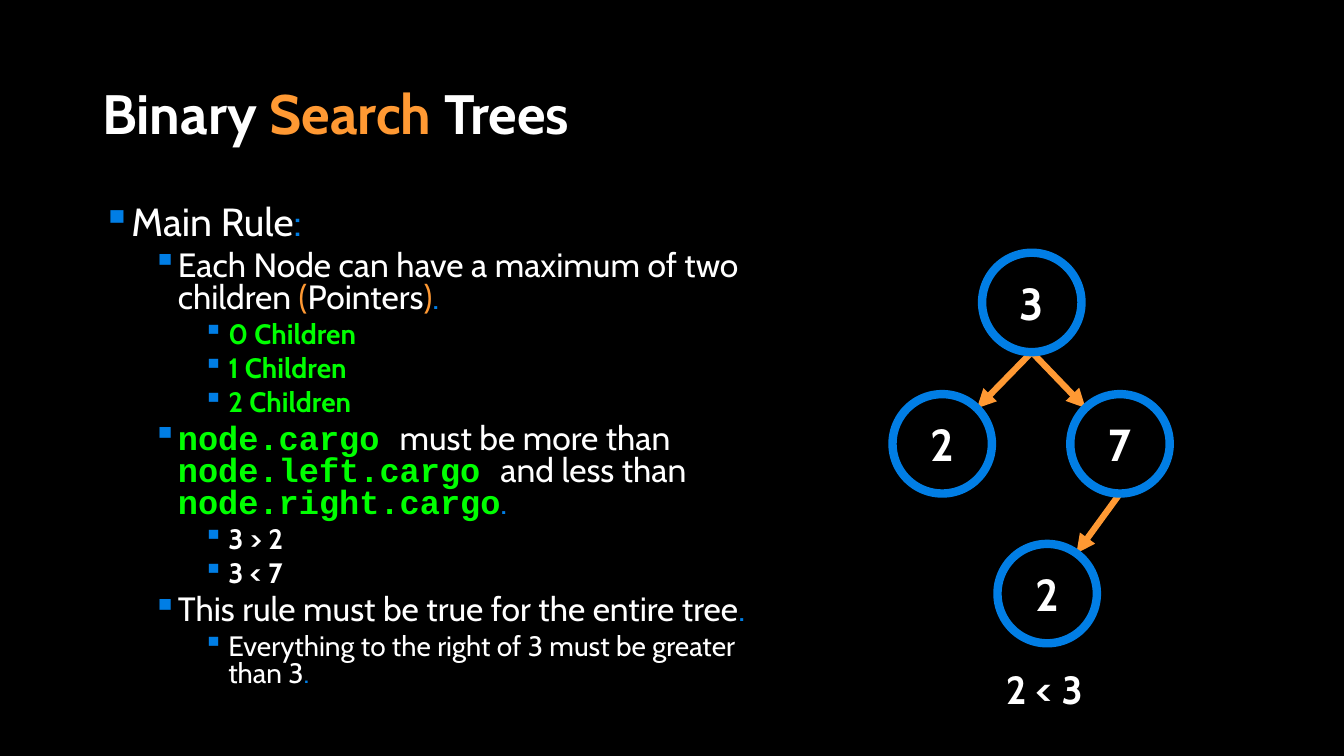
import math

import pptx
import pptx.dml.color
import pptx.enum.shapes
import pptx.enum.text
import pptx.oxml.ns
import pptx.util
from lxml import etree

Pt = pptx.util.Pt
ALIGN = pptx.enum.text.PP_ALIGN
ANCHOR = pptx.enum.text.MSO_ANCHOR

WHITE, BLACK = "FFFFFF", "000000"
ORANGE, GREEN = "FF9933", "00FF00"
BLUE, BULLET_BLUE = "017EE5", "007EE5"

# Each span is (text, colour, bold, font).
PERIOD = (".", BLUE, False, "Cabin")


def plain(text, colour=WHITE):
    return text, colour, False, "Cabin"


def strong(text, colour=WHITE):
    return text, colour, True, "Cabin"


def code(text):
    return text, GREEN, True, "Courier New"


TITLE = [strong("Binary "), strong("Search", ORANGE), strong(" Trees")]
RULES = [
    (0, [plain("Main Rule"), plain(":", BLUE)]),
    (1, [plain("Each Node can have a maximum of two children "), plain("(", ORANGE),
         plain("Pointers"), plain(")", ORANGE), PERIOD]),
    (2, [strong("0 Children", GREEN)]),
    (2, [strong("1 Children", GREEN)]),
    (2, [strong("2 Children", GREEN)]),
    (1, [code("node.cargo "), plain("must be more than "), code("node.left.cargo "),
         plain("and less than "), code("node.right.cargo"), PERIOD]),
    (2, [strong("3 > 2")]),
    (2, [strong("3 < 7")]),
    (1, [plain("This rule must be true for the entire tree"), PERIOD]),
    (2, [plain("Everything to the right of 3 must be greater than 3"), PERIOD]),
]
# Node centres in points.
NODES = {
    "root": ("3", 737, 216),
    "left": ("2", 673, 317),
    "right": ("7", 800, 317),
    "right.left": ("2", 748, 424),
}
EDGES = [("root", "left"), ("root", "right"), ("right", "right.left")]


def rgb(colour):
    return pptx.dml.color.RGBColor.from_string(colour)


def add_xml(parent, tag, **attributes):
    return etree.SubElement(parent, pptx.oxml.ns.qn(tag), attributes)


class TreeSlide:
    level_sizes = (28, 24, 20)
    radius = 35.5

    def __init__(self, deck):
        self.page = deck.slides.add_slide(deck.slide_layouts[6])
        self.page.background.fill.solid()
        self.page.background.fill.fore_color.rgb = rgb(BLACK)

    def spans(self, para, spans, size):
        for text, colour, bold, font in spans:
            span = para.add_run()
            span.text = text
            span.font.name = font
            span.font.size = Pt(size)
            span.font.bold = bold
            span.font.color.rgb = rgb(colour)

    def text_box(self, left, top, width, height, wrap=True):
        box = self.page.shapes.add_textbox(Pt(left), Pt(top), Pt(width), Pt(height))
        box.text_frame.word_wrap = wrap
        return box.text_frame

    def title(self, spans):
        frame = self.text_box(66, 57.6, 828, 52)
        frame.vertical_anchor = ANCHOR.MIDDLE
        frame.paragraphs[0].line_spacing = 0.9
        self.spans(frame.paragraphs[0], spans, 39.6)

    def bullets(self, items):
        frame = self.text_box(66, 144, 479, 381)
        for index, (level, spans) in enumerate(items):
            para = frame.add_paragraph() if index else frame.paragraphs[0]
            para.level = level
            para.line_spacing = 0.8
            para.space_before = Pt(5 if index else 0)
            properties = para._p.get_or_add_pPr()
            properties.set("marL", str(Pt(18 + 36 * level)))
            properties.set("indent", str(Pt(-18)))
            add_xml(add_xml(properties, "a:buClr"), "a:srgbClr", val=BULLET_BLUE)
            add_xml(properties, "a:buChar", char="▪")
            self.spans(para, spans, self.level_sizes[level])

    def node(self, value, x, y):
        """Draw a ring centred on (x, y) with its value inside."""
        side = Pt(2 * self.radius)
        ring = self.page.shapes.add_shape(
            pptx.enum.shapes.MSO_SHAPE.OVAL,
            Pt(x - self.radius), Pt(y - self.radius), side, side)
        ring.shadow.inherit = False
        ring.fill.background()
        ring.line.color.rgb = rgb(BLUE)
        ring.line.width = Pt(6)
        frame = ring.text_frame
        frame.word_wrap = False
        frame.vertical_anchor = ANCHOR.MIDDLE
        frame.paragraphs[0].alignment = ALIGN.CENTER
        self.spans(frame.paragraphs[0], [strong(value)], 32)

    def arrow(self, parent, child):
        """Run from the foot of the parent ring to the near edge of the child ring."""
        start_x, start_y = parent[0], parent[1] + self.radius
        angle = math.atan2(start_y - child[1], start_x - child[0])
        line = self.page.shapes.add_connector(
            pptx.enum.shapes.MSO_CONNECTOR.STRAIGHT, Pt(start_x), Pt(start_y),
            Pt(child[0] + self.radius * math.cos(angle)),
            Pt(child[1] + self.radius * math.sin(angle)))
        line.line.color.rgb = rgb(ORANGE)
        line.line.width = Pt(4.5)
        add_xml(line.line._get_or_add_ln(), "a:tailEnd", type="triangle")
        add_xml(line._element.spPr, "a:effectLst")

    def caption(self, text):
        frame = self.text_box(711.5, 471.5, 83, 41, wrap=False)
        self.spans(frame.paragraphs[0], [strong(text)], 28)


def main():
    deck = pptx.Presentation()
    deck.slide_width, deck.slide_height = Pt(960), Pt(540)
    slide = TreeSlide(deck)
    slide.title(TITLE)
    slide.bullets(RULES)
    for parent, child in EDGES:
        slide.arrow(NODES[parent][1:], NODES[child][1:])
    for value, x, y in NODES.values():
        slide.node(value, x, y)
    slide.caption("2 < 3")
    deck.save("out.pptx")


if __name__ == "__main__":
    main()
